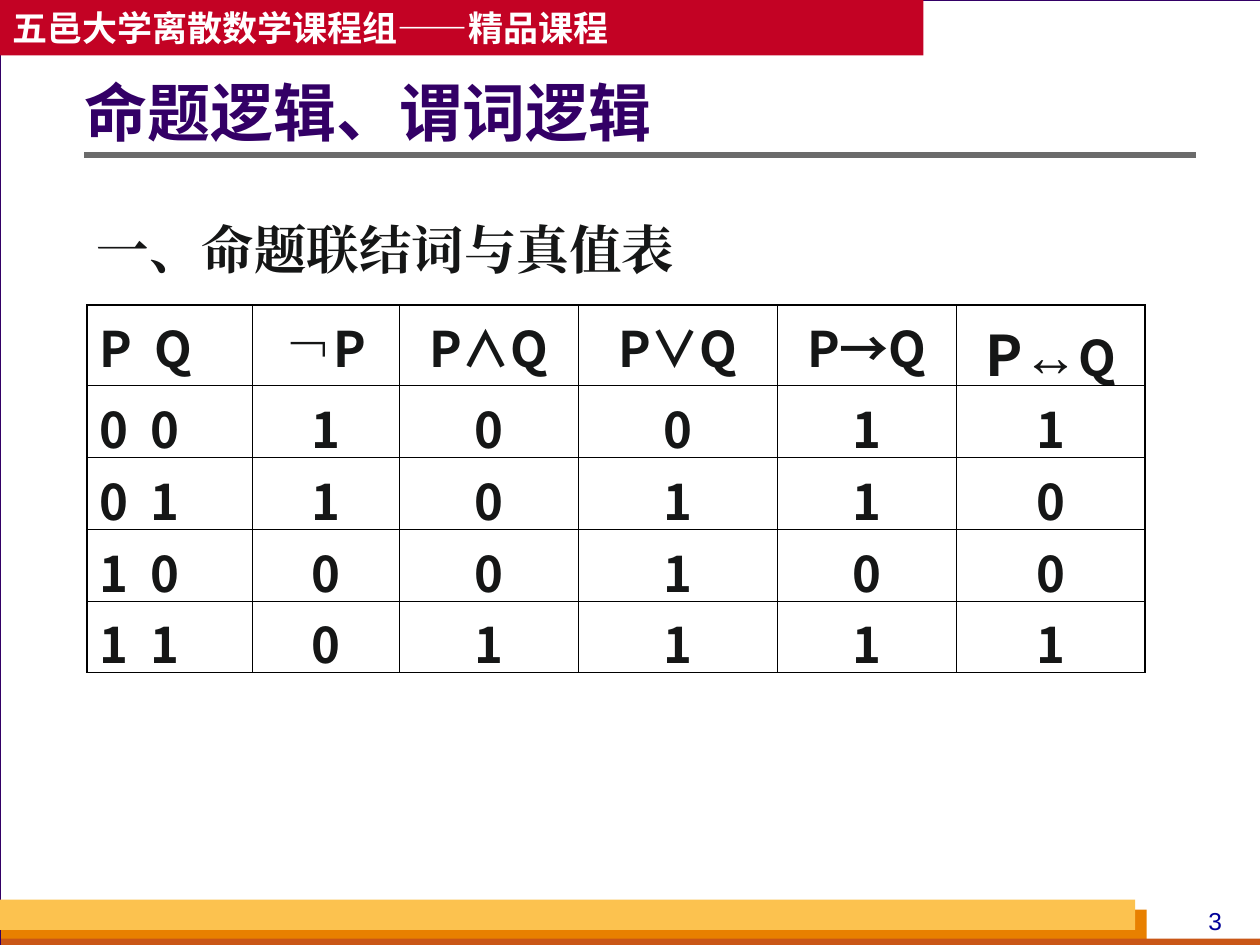
from itertools import product

from lxml import etree
from pptx import Presentation
from pptx.dml.color import RGBColor
from pptx.enum.shapes import MSO_CONNECTOR, MSO_SHAPE
from pptx.enum.text import MSO_ANCHOR, PP_ALIGN
from pptx.oxml.ns import qn
from pptx.util import Inches, Pt

WHITE = RGBColor(0xFF, 0xFF, 0xFF)
BLACK = RGBColor(0x00, 0x00, 0x00)
INK = RGBColor(0x15, 0x16, 0x16)
PURPLE = RGBColor(0x33, 0x00, 0x66)
CRIMSON = RGBColor(0xC3, 0x02, 0x24)
ORANGE = RGBColor(0xE8, 0x80, 0x00)
RUST = RGBColor(0xC9, 0x56, 0x16)
AMBER = RGBColor(0xFC, 0xC2, 0x4F)
GRAY = RGBColor(0x6B, 0x6B, 0x6B)
NAVY = RGBColor(0x00, 0x00, 0x99)
BACKDROP = RGBColor(0xD8, 0xDA, 0xDA)
SANS, SERIF = "Noto Sans CJK SC", "Times New Roman"


def add_span(para, text, size, color=INK, font=SANS, bold=True):
    span = para.add_run()
    span.text = text
    span.font.size = Pt(size)
    span.font.bold = bold
    span.font.name = font
    span.font.color.rgb = color
    etree.SubElement(span.font._element, qn("a:ea"), typeface=font)


def add_box(left, top, width, height, anchor=MSO_ANCHOR.TOP):
    box = page.shapes.add_textbox(Inches(left), Inches(top), Inches(width), Inches(height))
    box.text_frame.word_wrap = True
    box.text_frame.vertical_anchor = anchor
    return box.text_frame


deck = Presentation()
deck.slide_width, deck.slide_height = Inches(10), Inches(7.5)
page = deck.slides.add_slide(deck.slide_layouts[6])
page.background.fill.solid()
page.background.fill.fore_color.rgb = BACKDROP

# Framed page, top banner and bottom bands
panels = [
    (0, 0, 10.01, 7.5, WHITE),
    (0, 0, 7.33, 0.44, CRIMSON),
    (0.01, 7.22, 9.09, 0.28, ORANGE),
    (0.01, 7.45, 10, 0.08, RUST),
    (0, 7.14, 9.01, 0.24, AMBER),
]
for left, top, width, height, color in panels:
    panel = page.shapes.add_shape(
        MSO_SHAPE.RECTANGLE, Inches(left), Inches(top), Inches(width), Inches(height))
    panel.shadow.inherit = False
    panel.fill.solid()
    panel.fill.fore_color.rgb = color
    if color == WHITE:
        panel.line.color.rgb = PURPLE
        panel.line.width = Pt(0.75)
    else:
        panel.line.fill.background()
    if color == CRIMSON:
        panel.text_frame.word_wrap = False
        para = panel.text_frame.paragraphs[0]
        para.alignment = PP_ALIGN.LEFT
        add_span(para, "五邑大学离散数学课程组——精品课程", 20, WHITE)

# Page number
para = add_box(9.33, 7.14, 0.63, 0.34).paragraphs[0]
para.alignment = PP_ALIGN.CENTER
add_span(para, "3", 14, NAVY, "Arial", False)

# Title and its rule
rule = page.shapes.add_connector(
    MSO_CONNECTOR.STRAIGHT, Inches(0.67), Inches(1.23), Inches(9.49), Inches(1.23))
rule.line.color.rgb = GRAY
rule.line.width = Pt(3)
etree.SubElement(rule._element.spPr, qn("a:effectLst"))
title = add_box(0.67, 0.6, 8.71, 0.65, MSO_ANCHOR.MIDDLE)
title.margin_left = 0
title.paragraphs[0].line_spacing = 0.9
add_span(title.paragraphs[0], "命题逻辑、谓词逻辑", 36, PURPLE)

# Section heading
para = add_box(0.67, 1.42, 8.98, 0.85).paragraphs[0]
para.line_spacing = 1.5
add_span(para, "一、命题联结词与真值表", 30, font=SERIF)

# Truth table: each cell is a list of (text, size, font)
rows = [[
    [("P  Q", 28, SANS)],
    [("￢", 28, SERIF), ("P", 28, SANS)],
    [("P∧Q", 28, SANS)],
    [("P∨Q", 28, SANS)],
    [("P→Q", 28, SANS)],
    [("P", 32, SANS), ("↔", 32, SERIF), ("Q", 28, SANS)],
]]
for p, q in product((0, 1), repeat=2):
    values = [f"{p}  {q}", 1 - p, p & q, p | q, (1 - p) | q, int(p == q)]
    rows.append([[(str(value), 28, SANS)] for value in values])

widths = [1.31, 1.17, 1.42, 1.58, 1.42, 1.5]
heights = [0.64] + [0.57] * 4
table = page.shapes.add_table(
    len(rows), len(widths), Inches(0.69), Inches(2.42),
    Inches(sum(widths)), Inches(sum(heights))).table
for column, width in zip(table.columns, widths):
    column.width = Inches(width)
for row, height in zip(table.rows, heights):
    row.height = Inches(height)

for r, row in enumerate(rows):
    for c, spans in enumerate(row):
        cell = table.cell(r, c)
        para = cell.text_frame.paragraphs[0]
        para.alignment = PP_ALIGN.CENTER if c else PP_ALIGN.LEFT
        for text, size, font in spans:
            add_span(para, text, size, font=font)
        # Thin inner borders, thicker outer ones
        outer = {"L": c == 0, "R": c == len(widths) - 1,
                 "T": r == 0, "B": r == len(rows) - 1}
        for side, is_outer in outer.items():
            border = etree.SubElement(cell._tc.get_or_add_tcPr(), qn(f"a:ln{side}"),
                                      w=str(Pt(0.96 if is_outer else 0.45)))
            fill = etree.SubElement(border, qn("a:solidFill"))
            etree.SubElement(fill, qn("a:srgbClr"), val=str(BLACK))
        cell.fill.background()

deck.save("out.pptx")
